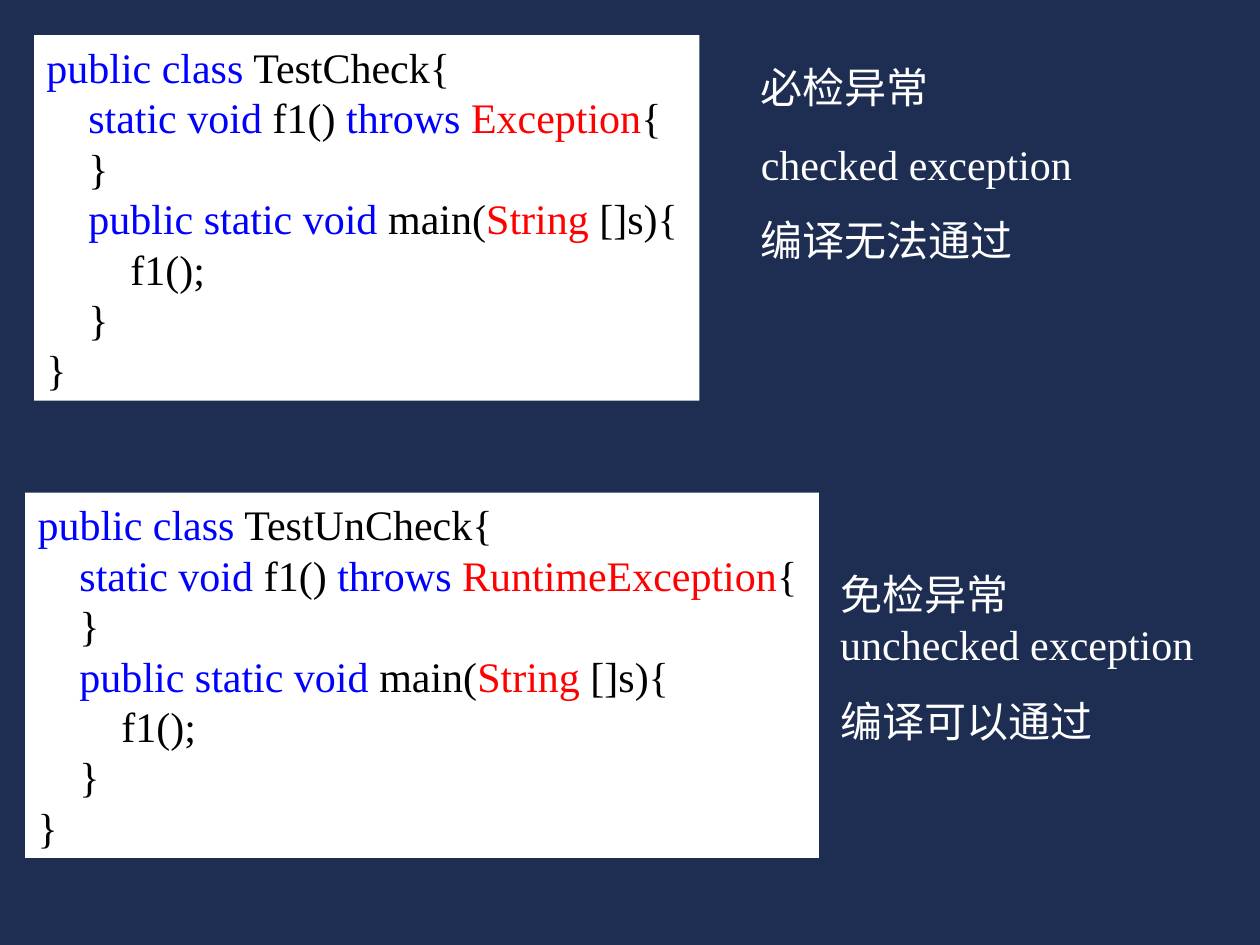
"""Build a slide comparing checked and unchecked Java exceptions."""
import pptx
import pptx.dml.color
import pptx.enum.shapes
import pptx.enum.text
import pptx.util

Inches, Pt = pptx.util.Inches, pptx.util.Pt
COLORS = {
    "background": "1E2E53",
    "white": "FFFFFF",
    "plain": "000000",
    "keyword": "0000FF",
    "type": "FF0000",
}


def rgb(name):
    return pptx.dml.color.RGBColor.from_string(COLORS[name])


def fill_text(sp, lines):
    tf = sp.text_frame
    tf.word_wrap = True
    tf.vertical_anchor = pptx.enum.text.MSO_ANCHOR.TOP
    for i, (space, runs) in enumerate(lines):
        p = tf.paragraphs[0] if i == 0 else tf.add_paragraph()
        p.alignment = pptx.enum.text.PP_ALIGN.LEFT
        p.line_spacing = Pt(28.8)
        p.space_before = Pt(space)
        p.font.size = Pt(24)
        p.font.name = "Times New Roman"
        for text, color in runs:
            r = p.add_run()
            r.text = text
            r.font.color.rgb = rgb(color)


prs = pptx.Presentation()
prs.slide_width, prs.slide_height = Inches(10), Inches(7.5)
s = prs.slides.add_slide(prs.slide_layouts[6])
s.background.fill.solid()
s.background.fill.fore_color.rgb = rgb("background")

listings = [
    ("TestCheck", "Exception", 0.27, 0.28, 5.28),
    ("TestUnCheck", "RuntimeException", 0.2, 3.91, 6.3),
]
for class_name, exception, left, top, width in listings:
    sp = s.shapes.add_shape(
        pptx.enum.shapes.MSO_SHAPE.RECTANGLE,
        Inches(left), Inches(top), Inches(width), Inches(2.9),
    )
    sp.shadow.inherit = False
    sp.fill.solid()
    sp.fill.fore_color.rgb = rgb("white")
    sp.line.fill.background()
    code = [
        [("public class", "keyword"), (f" {class_name}{{", "plain")],
        [("    static void", "keyword"), (" f1() ", "plain"),
         ("throws ", "keyword"), (exception, "type"), ("{", "plain")],
        [("    }", "plain")],
        [("    public static void", "keyword"), (" main(", "plain"),
         ("String", "type"), (" []s){", "plain")],
        [("        f1();", "plain")],
        [("    }", "plain")],
        [("}", "plain")],
    ]
    fill_text(sp, [(0, runs) for runs in code])

notes = [
    (5.94, 0.44, 3.39, 1.72,
     [(0, "必检异常"), (15, "checked exception"), (15, "编译无法通过")]),
    (6.57, 4.46, 3.27, 1.51,
     [(0, "免检异常"), (0, "unchecked exception"), (15, "编译可以通过")]),
]
for left, top, width, height, lines in notes:
    sp = s.shapes.add_textbox(Inches(left), Inches(top), Inches(width), Inches(height))
    fill_text(sp, [(space, [(text, "white")]) for space, text in lines])

prs.save("out.pptx")
